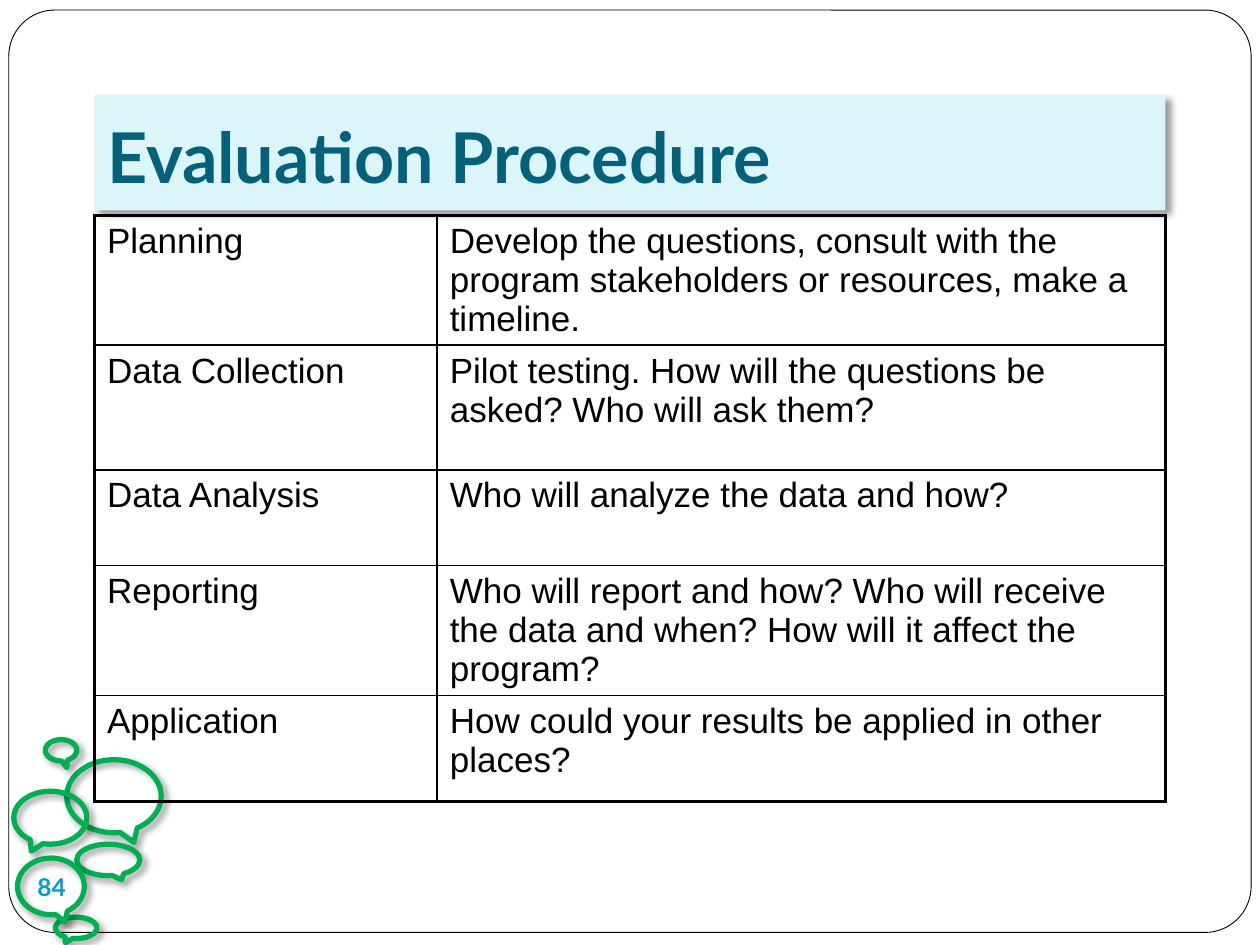
from lxml.etree import SubElement
from pptx import Presentation
from pptx.dml.color import RGBColor
from pptx.enum.shapes import MSO_SHAPE as Kind
from pptx.enum.text import MSO_ANCHOR as Anchor, PP_ALIGN as Align
from pptx.oxml.ns import qn
from pptx.util import Inches, Pt

BLACK = RGBColor(0x00, 0x00, 0x00)
WHITE = RGBColor(0xFF, 0xFF, 0xFF)
GREEN = RGBColor(0x00, 0xB0, 0x50)
PALE = RGBColor(0xDB, 0xF5, 0xF9)
TEAL = RGBColor(0x04, 0x61, 0x7B)
BLUE = RGBColor(0x00, 0x9D, 0xD9)

# left, top, width, height, tail x and y
BUBBLES = [
    (0.53, 6.03, 0.75, 0.58, -0.21, 0.63),
    (0.61, 6.7, 0.5, 0.25, -0.21, 0.63),
    (0.11, 6.28, 0.58, 0.42, 0.26, 0.63),
    (0.44, 7.28, 0.33, 0.17, 0.26, 0.69),
    (0.14, 6.81, 0.53, 0.45, -0.21, 0.63),
    (0.36, 5.87, 0.25, 0.17, -0.18, 0.81),
]
COLS = [2.72, 5.78]
STEPS = [
    (1.03, "Planning", "Develop the questions, consult with the program "
     "stakeholders or resources, make a timeline."),
    (0.99, "Data Collection",
     "Pilot testing. How will the questions be asked? Who will ask them?"),
    (0.76, "Data Analysis", "Who will analyze the data and how?"),
    (1.03, "Reporting", "Who will report and how? Who will receive the data "
     "and when? How will it affect the program?"),
    (0.84, "Application",
     "How could your results be applied in other places?"),
]


def style(frame, size, color, name, bold=False):
    for para in frame.paragraphs:
        for run in para.runs:
            font = run.font
            font.size, font.name, font.bold = Pt(size), name, bold
            font.color.rgb = color


def inset(frame, left, top, right, bottom):
    frame.margin_left, frame.margin_top = Inches(left), Inches(top)
    frame.margin_right, frame.margin_bottom = Inches(right), Inches(bottom)


def cast_shadow(shape):
    shape.shadow.inherit = False
    effects = shape._element.spPr.find(qn("a:effectLst"))
    outer = SubElement(effects, qn("a:outerShdw"), blurRad=str(Pt(4)),
                       dist=str(Pt(3)), dir=str(45 * 60000),
                       algn="tl", rotWithShape="0")
    color = SubElement(outer, qn("a:srgbClr"), val=str(BLACK))
    SubElement(color, qn("a:alpha"), val="40000")


def add_frame(slide):
    frame = slide.shapes.add_shape(
        Kind.ROUNDED_RECTANGLE, *map(Inches, (0.07, 0.08, 9.86, 7.32)))
    frame.adjustments[0] = 0.05
    frame.fill.solid()
    frame.fill.fore_color.rgb = WHITE
    frame.line.color.rgb = BLACK
    frame.line.width = Pt(0.5)
    frame.shadow.inherit = False


def add_bubble(slide, left, top, width, height, *tail):
    bubble = slide.shapes.add_shape(
        Kind.OVAL_CALLOUT, *map(Inches, (left, top, width, height)))
    bubble._element.spPr.xfrm.set("flipH", "1")
    for i, value in enumerate(tail):
        bubble.adjustments[i] = value
    bubble.fill.background()
    bubble.line.color.rgb = GREEN
    bubble.line.width = Pt(3)
    cast_shadow(bubble)


def set_title(slide, text):
    title = slide.shapes.title
    slide.shapes._spTree.append(title._element)  # bring above the frame
    title.left, title.top = Inches(0.75), Inches(0.75)
    title.width, title.height = Inches(8.5), Inches(0.92)
    title.fill.solid()
    title.fill.fore_color.rgb = PALE
    cast_shadow(title)
    frame = title.text_frame
    frame.text = text
    frame.vertical_anchor = Anchor.BOTTOM
    inset(frame, 0.1, 0.05, 0.1, 0.1)
    frame.paragraphs[0].alignment = Align.LEFT
    style(frame, 40, TEAL, "Lato", True)


def set_borders(cell, **widths):
    props = cell._tc.get_or_add_tcPr()
    for side in "LRTB":
        line = SubElement(props, qn(f"a:ln{side}"), w=str(Pt(widths[side])))
        fill = SubElement(line, qn("a:solidFill"))
        SubElement(fill, qn("a:srgbClr"), val=str(BLACK))


def add_steps(slide):
    """Add the table with a thick outer border and thin inner ones."""
    total = sum(step[0] for step in STEPS)
    table = slide.shapes.add_table(
        len(STEPS), len(COLS),
        *map(Inches, (0.75, 1.71, sum(COLS), total))).table
    table.first_row = table.horz_banding = False
    for col, width in zip(table.columns, COLS):
        col.width = Inches(width)
    for r, (height, *texts) in enumerate(STEPS):
        table.rows[r].height = Inches(height)
        for c, text in enumerate(texts):
            cell = table.cell(r, c)
            edges = {"L": c == 0, "R": c == len(COLS) - 1,
                     "T": r == 0, "B": r == len(STEPS) - 1}
            set_borders(cell, **{side: 2.25 if outer else 1
                                 for side, outer in edges.items()})
            cell.fill.background()
            cell.text_frame.text = text
            style(cell.text_frame, 20, BLACK, "Arial")


def add_number(slide, text):
    oval = slide.shapes.add_shape(
        Kind.OVAL, *map(Inches, (0.16, 6.79, 0.5, 0.5)))
    oval.fill.background()
    oval.line.fill.background()
    oval.shadow.inherit = False
    frame = oval.text_frame
    frame.text = text
    frame.word_wrap = False
    frame.vertical_anchor = Anchor.MIDDLE
    inset(frame, 0, 0, 0, 0)
    frame.paragraphs[0].alignment = Align.CENTER
    style(frame, 14, BLUE, "Lato", True)


def main():
    deck = Presentation()
    deck.slide_width, deck.slide_height = Inches(10), Inches(7.5)
    slide = deck.slides.add_slide(deck.slide_layouts[5])
    add_frame(slide)
    for bubble in BUBBLES:
        add_bubble(slide, *bubble)
    set_title(slide, "Evaluation Procedure")
    add_steps(slide)
    add_number(slide, "84")
    deck.save("out.pptx")


if __name__ == "__main__":
    main()
